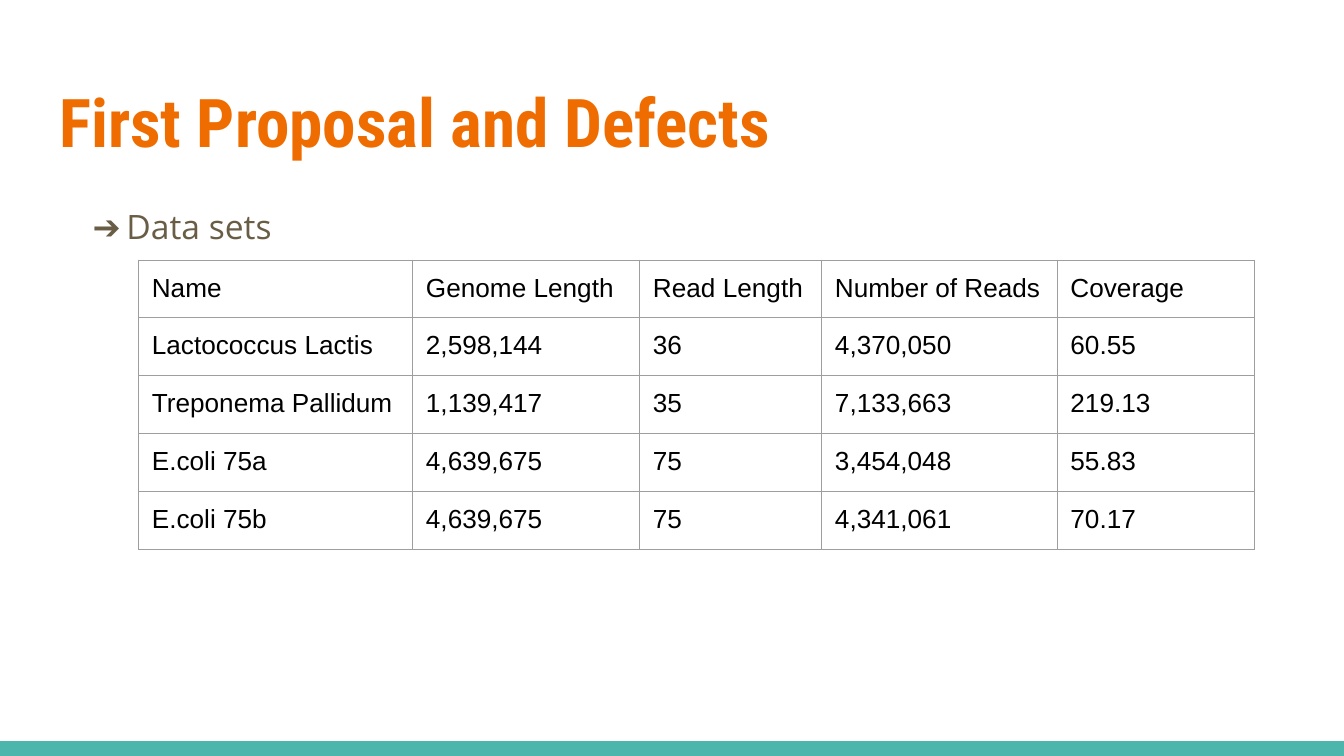
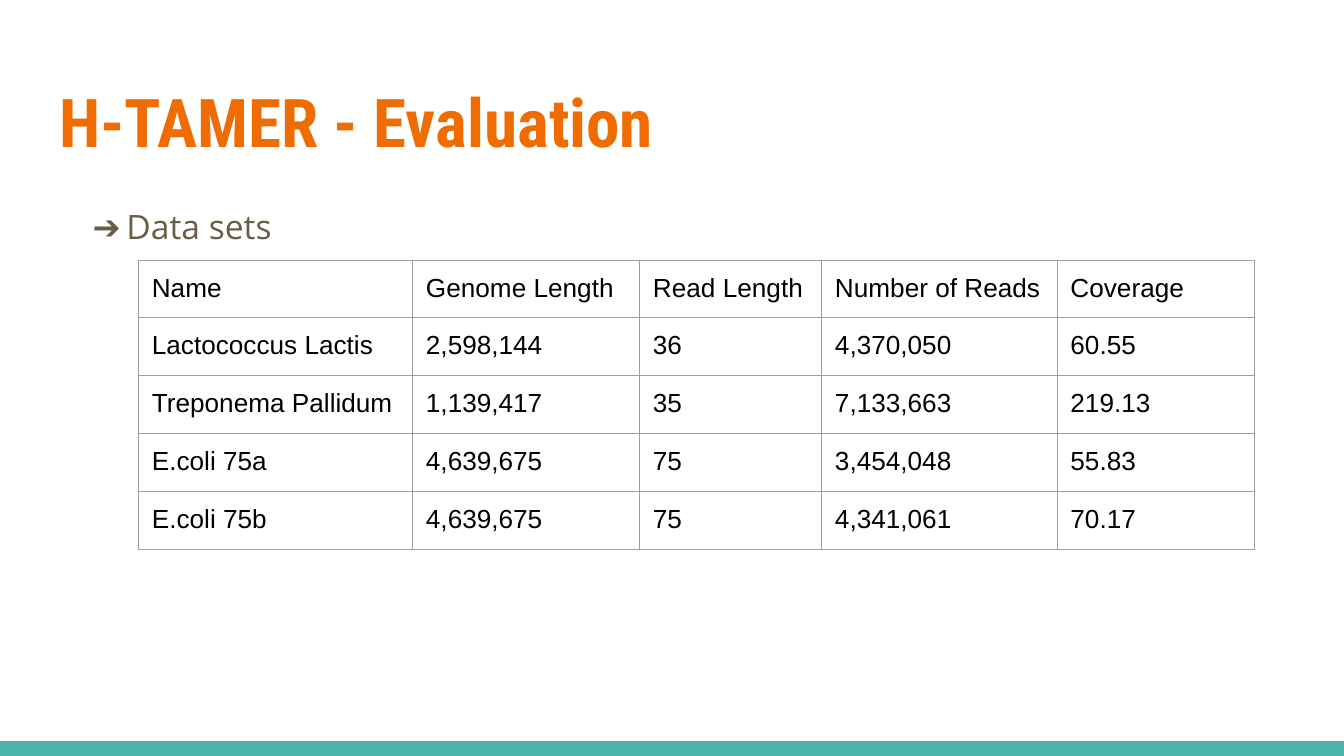
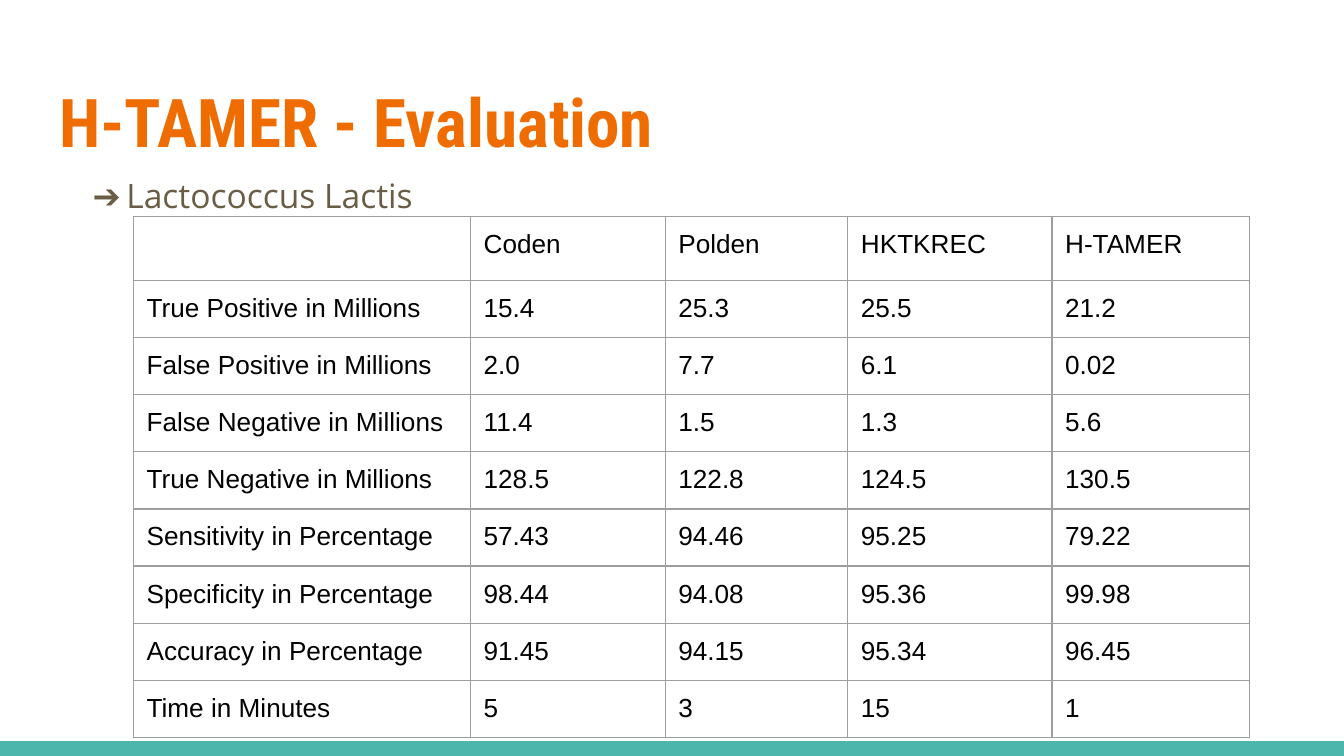
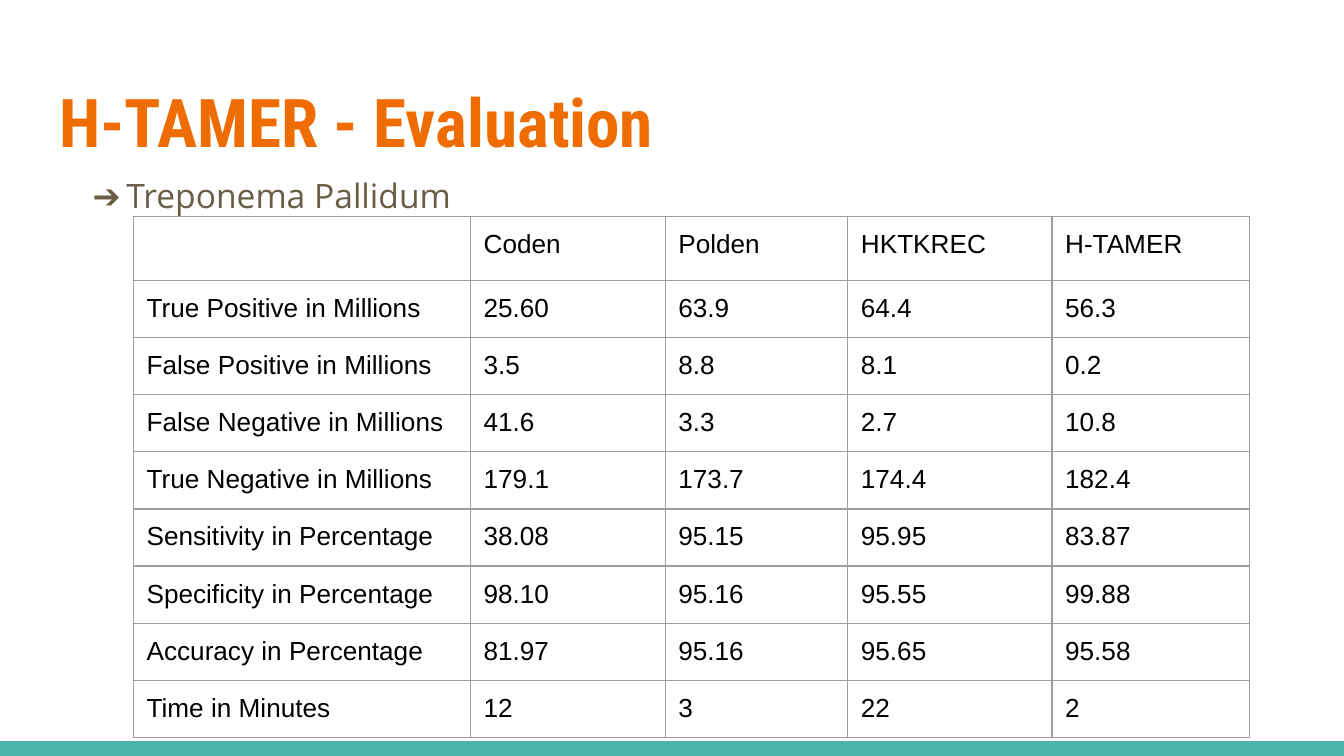
import pptx
import pptx.dml.color
import pptx.enum.shapes
import pptx.enum.text
import pptx.oxml
import pptx.oxml.ns
import pptx.util

Cm, Pt = pptx.util.Cm, pptx.util.Pt

COLORS = {"background": "FFFFFF", "band": "4DB6AC", "title": "EF6C00",
          "body": "695D46", "cell": "000000", "border": "9E9E9E"}
FONTS = {"title": "Roboto Condensed", "body": "Open Sans", "cell": "Arial"}
SIZES = {"title": 36, "body": 18, "cell": 14}
WIDTH, HEIGHT = 25.4, 14.29
BAND_HEIGHT = 0.28
LEFT, TEXT_WIDTH = 0.87, 23.67
INSET, CELL_BOTTOM = 0.25, 0.23

DATA_SETS = [
    ["Name", "Genome Length", "Read Length", "Number of Reads", "Coverage"],
    ["Lactococcus Lactis", "2,598,144", "36", "4,370,050", "60.55"],
    ["Treponema Pallidum", "1,139,417", "35", "7,133,663", "219.13"],
    ["E.coli 75a", "4,639,675", "75", "3,454,048", "55.83"],
    ["E.coli 75b", "4,639,675", "75", "4,341,061", "70.17"],
]
TOOL = "H-TAMER"
EVALUATION = f"{TOOL} - Evaluation"
TOOLS = ["", "Coden", "Polden", "HKTKREC", TOOL]
OUTCOMES = [f"{truth} {sign} in Millions" for sign, truth in
            [("Positive", "True"), ("Positive", "False"),
             ("Negative", "False"), ("Negative", "True")]]
RATES = [f"{rate} in Percentage" for rate in
         ("Sensitivity", "Specificity", "Accuracy")]
METRICS = OUTCOMES + RATES + ["Time in Minutes"]
RESULTS = {
    "Lactococcus Lactis": [
        ["15.4", "25.3", "25.5", "21.2"],
        ["2.0", "7.7", "6.1", "0.02"],
        ["11.4", "1.5", "1.3", "5.6"],
        ["128.5", "122.8", "124.5", "130.5"],
        ["57.43", "94.46", "95.25", "79.22"],
        ["98.44", "94.08", "95.36", "99.98"],
        ["91.45", "94.15", "95.34", "96.45"],
        ["5", "3", "15", "1"],
    ],
    "Treponema Pallidum": [
        ["25.60", "63.9", "64.4", "56.3"],
        ["3.5", "8.8", "8.1", "0.2"],
        ["41.6", "3.3", "2.7", "10.8"],
        ["179.1", "173.7", "174.4", "182.4"],
        ["38.08", "95.15", "95.95", "83.87"],
        ["98.10", "95.16", "95.55", "99.88"],
        ["81.97", "95.16", "95.65", "95.58"],
        ["12", "3", "22", "2"],
    ],
}


def rgb(name):
    """Return the named colour."""
    return pptx.dml.color.RGBColor.from_string(COLORS[name])


def element(tag, attributes="", content=""):
    """Return one drawing element as XML."""
    ns = pptx.oxml.ns.nsdecls("a")
    return pptx.oxml.parse_xml(
        f"<a:{tag} {ns} {attributes}>{content}</a:{tag}>")


def color_xml(name):
    """Return the XML text of a named colour."""
    return f'<a:srgbClr val="{COLORS[name]}"/>'


class Deck:
    """Hold the presentation style and the current slide."""

    def __init__(self):
        """Start an empty presentation."""
        self.prs = pptx.Presentation()
        self.prs.slide_width, self.prs.slide_height = Cm(WIDTH), Cm(HEIGHT)
        self.s = None

    def slide(self, title):
        """Add a slide with its background, bottom band and title."""
        self.s = self.prs.slides.add_slide(self.prs.slide_layouts[6])
        fill = self.s.background.fill
        fill.solid()
        fill.fore_color.rgb = rgb("background")
        self.band()
        self.run(self.text_box(1.26, 1.96), title, "title", bold=True)

    def band(self):
        """Draw the coloured band along the bottom edge."""
        sp = self.s.shapes.add_shape(
            pptx.enum.shapes.MSO_SHAPE.RECTANGLE, 0,
            Cm(HEIGHT - BAND_HEIGHT), Cm(WIDTH), Cm(BAND_HEIGHT))
        sp.shadow.inherit = False
        sp.fill.solid()
        sp.fill.fore_color.rgb = rgb("band")
        sp.line.fill.background()

    def text_box(self, top, height):
        """Add a full-width text box and return its first paragraph."""
        sp = self.s.shapes.add_textbox(
            Cm(LEFT), Cm(top), Cm(TEXT_WIDTH), Cm(height))
        tf = sp.text_frame
        tf.word_wrap = True
        tf.vertical_anchor = pptx.enum.text.MSO_ANCHOR.TOP
        tf.margin_left = tf.margin_right = Cm(INSET)
        tf.margin_top = tf.margin_bottom = Cm(INSET)
        return tf.paragraphs[0]

    def run(self, p, text, style, bold=False):
        """Add a run in the given text style."""
        r = p.add_run()
        r.text = text
        r.font.name, r.font.size = FONTS[style], Pt(SIZES[style])
        r.font.bold = bold
        r.font.color.rgb = rgb(style)

    def bullet(self, text, top):
        """Add a line of body text with an arrow bullet."""
        p = self.text_box(top, 9.17)
        p.line_spacing, p.space_after = 1.15, Pt(16)
        pPr = p._p.get_or_add_pPr()
        pPr.set("marL", str(Cm(1.27)))
        pPr.set("indent", str(-Cm(0.64)))
        pPr.append(element("buClr", content=color_xml("body")))
        pPr.append(element("buFont", f'typeface="{FONTS["body"]}"'))
        pPr.append(element("buChar", 'char="➔"'))
        self.run(p, text, "body")

    def table(self, rows, left, top, widths, head_height, row_height):
        """Add a bordered table with a header row and equal body rows."""
        heights = [head_height] + [row_height] * (len(rows) - 1)
        table = self.s.shapes.add_table(
            len(rows), len(widths), Cm(left), Cm(top),
            Cm(sum(widths)), Cm(sum(heights))).table
        table.first_row = table.horz_banding = False
        for column, width in zip(table.columns, widths):
            column.width = Cm(width)
        for row, height, texts in zip(table.rows, heights, rows):
            row.height = Cm(height)
            for cell, text in zip(row.cells, texts):
                self.cell(cell, text)

    def cell(self, cell, text):
        """Fill in and style one table cell."""
        cell.margin_left = cell.margin_right = cell.margin_top = Cm(INSET)
        cell.margin_bottom = Cm(CELL_BOTTOM)
        p = cell.text_frame.paragraphs[0]
        if text:
            self.run(p, text, "cell")
        else:
            p._p.get_or_add_endParaRPr().set("sz", str(SIZES["cell"] * 100))
        line = f'<a:solidFill>{color_xml("border")}</a:solidFill>'
        tcPr = cell._tc.get_or_add_tcPr()
        for side in ("lnL", "lnR", "lnT", "lnB"):
            tcPr.append(element(side, f'w="{Pt(0.75)}"', line))
        cell.fill.background()

    def data_sets(self, title):
        """Add a slide that lists the data sets."""
        self.slide(title)
        self.bullet("Data sets", 3.53)
        self.table(DATA_SETS, 2.62, 4.92, [5.18, 4.29, 3.44, 4.45, 3.73],
                   1.07, 1.1)

    def results(self, title, genome):
        """Add a slide that compares the tools on one genome."""
        self.slide(title)
        self.bullet(genome, 2.95)
        rows = [TOOLS] + [[metric] + values for metric, values
                          in zip(METRICS, RESULTS[genome])]
        self.table(rows, 2.52, 4.09, [6.37, 3.68, 3.45, 3.86, 3.73],
                   1.21, 1.08)


deck = Deck()
deck.data_sets("First Proposal and Defects")
deck.data_sets(EVALUATION)
for genome in RESULTS:
    deck.results(EVALUATION, genome)
deck.prs.save("out.pptx")
